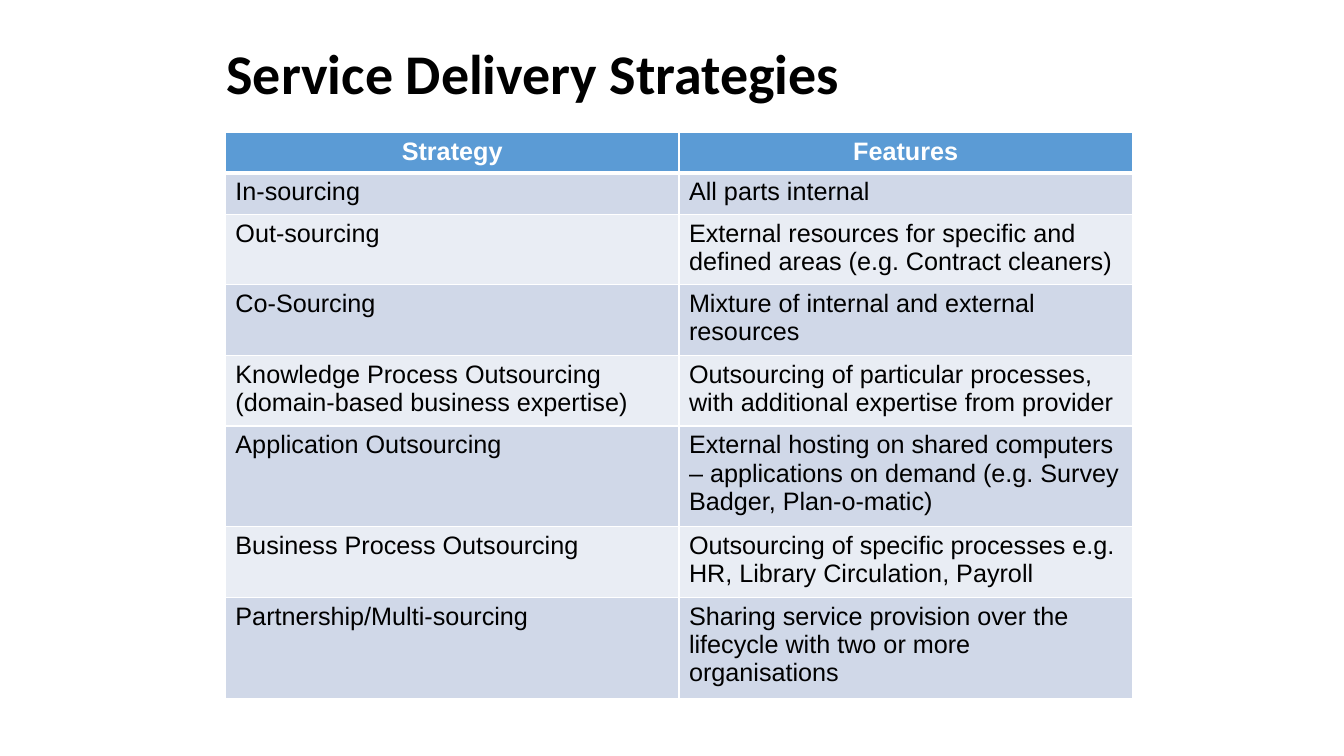
from dataclasses import dataclass

from lxml import etree
from pptx import Presentation
from pptx.dml.color import RGBColor
from pptx.enum import text
from pptx.oxml import ns
from pptx.util import Cm, Pt


@dataclass(frozen=True)
class Theme:
    title_font: str = "Calibri"
    table_font: str = "Arial"
    title_size: int = 40
    table_size: int = 18
    black: str = "000000"
    white: str = "FFFFFF"
    header_fill: str = "5B9BD5"
    band_fills: tuple = ("D0D8E8", "E9EDF4")
    thin_border: int = 1
    thick_border: int = 3


THEME = Theme()

HEADINGS = ("Strategy", "Features")
STRATEGIES = (
    ("In-sourcing", "All parts internal"),
    ("Out-sourcing",
     "External resources for specific and defined areas (e.g. Contract cleaners)"),
    ("Co-Sourcing", "Mixture of internal and external resources"),
    ("Knowledge Process Outsourcing\n(domain-based business expertise)",
     "Outsourcing of particular processes, with additional expertise from provider"),
    ("Application Outsourcing",
     "External hosting on shared computers – applications on demand "
     "(e.g. Survey Badger, Plan-o-matic)"),
    ("Business Process Outsourcing",
     "Outsourcing of specific processes e.g. HR, Library Circulation, Payroll"),
    ("Partnership/Multi-sourcing",
     "Sharing service provision over the lifecycle with two or more organisations"),
)


def set_font(paragraph, name, size, colour, bold):
    font = paragraph.font
    font.name = name
    font.size = Pt(size)
    font.bold = bold
    font.color.rgb = RGBColor.from_string(colour)


def add_title(slide, wording):
    box = slide.shapes.add_textbox(Cm(5.46), Cm(0.71), Cm(23.29), Cm(2.44))
    frame = box.text_frame
    frame.word_wrap = True
    frame.vertical_anchor = text.MSO_ANCHOR.MIDDLE
    frame.text = wording
    paragraph = frame.paragraphs[0]
    paragraph.line_spacing = 0.9
    set_font(paragraph, THEME.title_font, THEME.title_size, THEME.black, True)


def set_borders(cell, top, bottom):
    """Draw white cell borders; top and bottom are widths in points."""
    properties = cell._tc.get_or_add_tcPr()
    widths = {"L": THEME.thin_border, "R": THEME.thin_border, "T": top, "B": bottom}
    for side, width in widths.items():
        line = etree.SubElement(properties, ns.qn(f"a:ln{side}"), w=str(Pt(width)))
        fill = etree.SubElement(line, ns.qn("a:solidFill"))
        etree.SubElement(fill, ns.qn("a:srgbClr"), val=THEME.white)


def fill_cell(cell, wording, row_index):
    is_header = row_index == 0
    set_borders(
        cell,
        top=THEME.thick_border if row_index == 1 else THEME.thin_border,
        bottom=THEME.thick_border if is_header else THEME.thin_border,
    )
    band = THEME.band_fills[(row_index - 1) % 2]
    cell.fill.solid()
    cell.fill.fore_color.rgb = RGBColor.from_string(
        THEME.header_fill if is_header else band)
    cell.text = wording
    for paragraph in cell.text_frame.paragraphs:
        if is_header:
            paragraph.alignment = text.PP_ALIGN.CENTER
        set_font(paragraph, THEME.table_font, THEME.table_size,
                 THEME.white if is_header else THEME.black, is_header)


def add_strategy_table(slide, rows):
    header_height, row_height = Cm(0.71), Cm(1.04)
    height = header_height + row_height * (len(rows) - 1)
    frame = slide.shapes.add_table(
        len(rows), len(HEADINGS), Cm(5.68), Cm(3.34), Cm(22.86), height)
    table = frame.table
    for row_index, row in enumerate(rows):
        table.rows[row_index].height = row_height if row_index else header_height
        for column_index, wording in enumerate(row):
            fill_cell(table.cell(row_index, column_index), wording, row_index)


def main():
    presentation = Presentation()
    presentation.slide_width = Cm(33.87)
    presentation.slide_height = Cm(19.05)
    slide = presentation.slides.add_slide(presentation.slide_layouts[6])
    add_title(slide, "Service Delivery Strategies")
    add_strategy_table(slide, (HEADINGS, *STRATEGIES))
    presentation.save("out.pptx")


if __name__ == "__main__":
    main()
